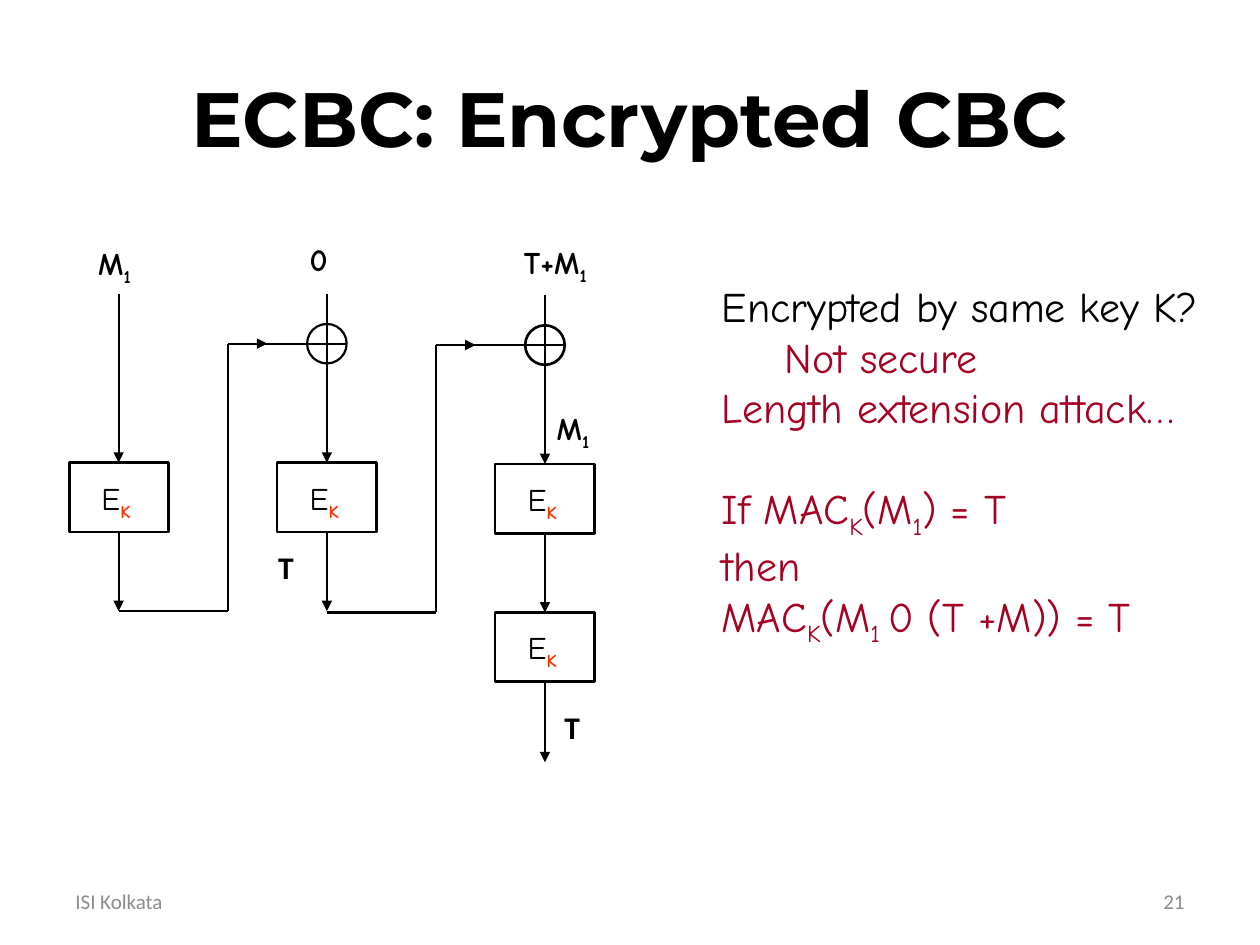
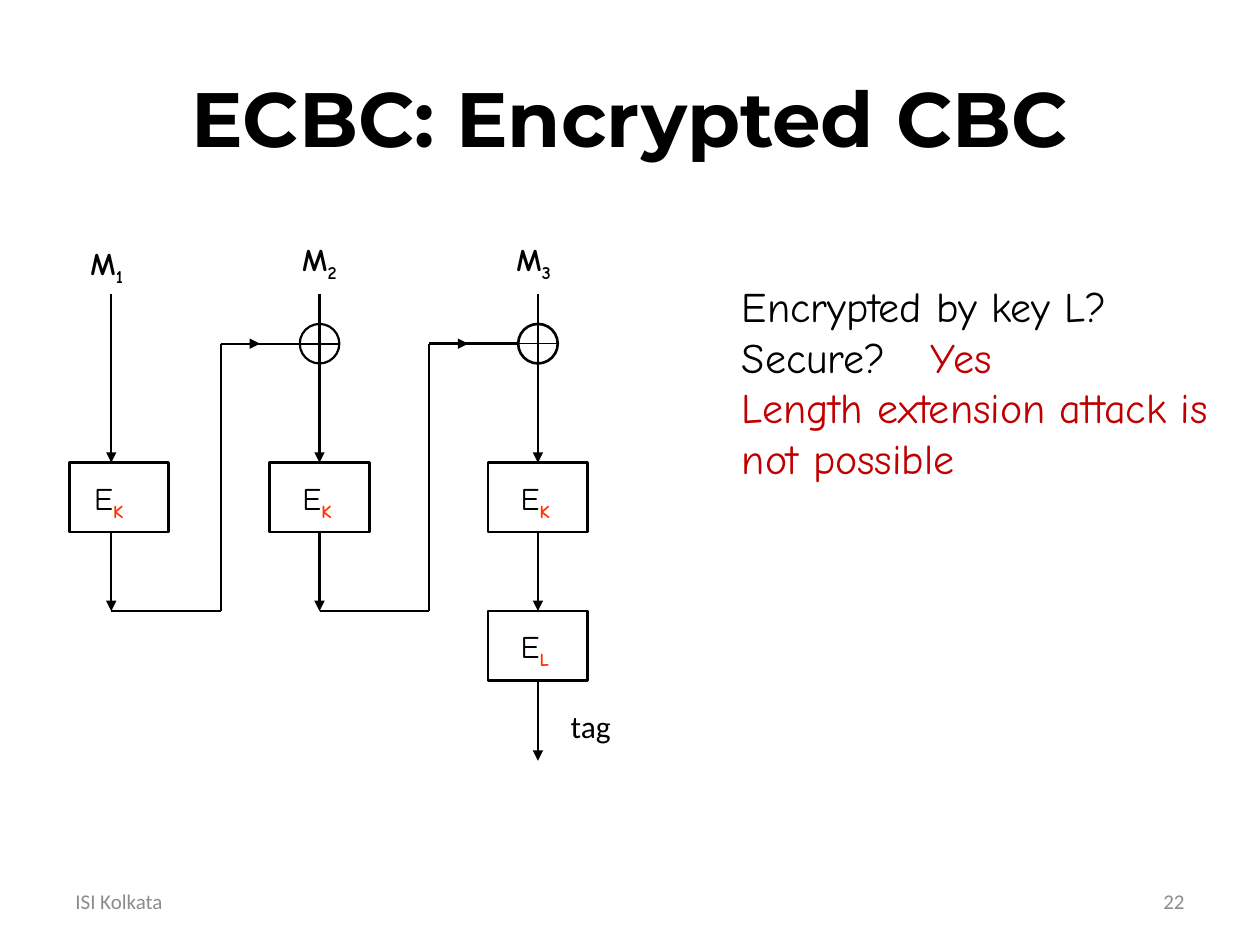
import pptx
import pptx.util
import pptx.dml.color
import pptx.enum.shapes
import pptx.enum.text
import pptx.oxml
import pptx.oxml.ns
from lxml import etree

Pt = pptx.util.Pt
Align = pptx.enum.text.PP_ALIGN
Shape = pptx.enum.shapes.MSO_SHAPE
qn = pptx.oxml.ns.qn

COLOURS = {"ink": "000000", "key": "FF3300", "footer": "8C8C8C",
           "broken": "A50021", "safe": "C00000"}
HAND, PLAIN, HEADING = "Comic Neue", "Calibri", "Montserrat"

# Cipher chain geometry, shared by both slides
INPUT_Y, XOR_Y, BLOCK_Y, FEED_Y, OUTPUT_Y = 168, 196.4, 264.4, 349.2, 434.8
BLOCK_W, BLOCK_H = 56.9, 39.6
XOR_R = 11.3
RISER_DX, FEED_ARROW = 62.5, 22.5


def add_text(slide, box, paragraphs, font=HAND, size=18, wrap=False):
    """Paragraphs are lists of (text, colour, bold, subscript) runs."""
    text_box = slide.shapes.add_textbox(*[Pt(v) for v in box])
    frame = text_box.text_frame
    frame.word_wrap = wrap
    for number, pieces in enumerate(paragraphs):
        paragraph = frame.add_paragraph() if number else frame.paragraphs[0]
        for text, colour, bold, subscript in pieces:
            run = paragraph.add_run()
            run.text = text
            run.font.name, run.font.size, run.font.bold = font, Pt(size), bold
            run.font.color.rgb = pptx.dml.color.RGBColor.from_string(COLOURS[colour])
            if subscript:
                run.font._element.set("baseline", "-25000")
    return frame


def add_line(slide, x1, y1, x2, y2, width=1.25, arrow=False):
    line = slide.shapes.add_connector(pptx.enum.shapes.MSO_CONNECTOR.STRAIGHT,
                                      Pt(x1), Pt(y1), Pt(x2), Pt(y2))
    line.line.width = Pt(width)
    line.line.color.rgb = pptx.dml.color.RGBColor.from_string(COLOURS["ink"])
    properties = line._element.spPr
    if arrow:
        etree.SubElement(properties.find(qn("a:ln")), qn("a:tailEnd"), type="triangle")
    etree.SubElement(properties, qn("a:effectLst"))


# Content: shaft x positions, block offsets, labels (text, subscript, left, top, width)
slides = [
    {
        "number": "21", "shafts": [67.8, 186.8, 311.4], "first_block": 39.6,
        "last_drop": 0.8, "final_key": "K",
        "messages": [("M", "1", 49, 136.1, 37.4), ("0", "", 169.9, 133.9, 25.9),
                     ("T+M", "1", 292.3, 135.4, 61.9), ("M", "1", 311, 230.4, 37.4)],
        "outputs": [("T", True, 151.9, 309.6, 25.9), ("T", True, 315.4, 401, 25.9)],
        "comment_box": (405.4, 157, 314.6, 239.8),
        "comment": [
            [("Encrypted by same key K?", "ink", False, False)],
            [("\tNot secure", "broken", False, False)],
            [("Length extension attack…", "broken", False, False)],
            [("If MAC", "broken", False, False), ("K", "broken", False, True),
             ("(M", "broken", False, False), ("1", "broken", False, True),
             (") = T", "broken", False, False)],
            [("then", "broken", False, False)],
            [("MAC", "broken", False, False), ("K", "broken", False, True),
             ("(M", "broken", False, False), ("1 ", "broken", False, True),
             ("0 (T +M)) = T", "broken", False, False)],
        ],
        "gap_before": 3,
    },
    {
        "number": "22", "shafts": [63.6, 182.6, 307.4], "first_block": 39.6,
        "last_drop": 0, "final_key": "L",
        "messages": [("M", "1", 44.6, 136.1, 37.4), ("M", "2", 165.6, 133.9, 37.4),
                     ("M", "3", 288, 133.9, 38.2)],
        "outputs": [("tag", False, 319, 400.3, 39.6)],
        "comment_box": (416.9, 157, 283.7, 123.8),
        "comment": [
            [("Encrypted by key L?", "ink", False, False)],
            [("Secure?\t", "ink", False, False), ("Yes", "safe", False, False)],
            [("Length extension attack is not possible", "safe", False, False)],
        ],
        "gap_before": None,
    },
]

prs = pptx.Presentation()
prs.slide_width, prs.slide_height = Pt(720), Pt(540)

for content in slides:
    slide = prs.slides.add_slide(prs.slide_layouts[5])

    # Title
    title = slide.shapes.title
    title.left, title.top, title.width, title.height = Pt(36), Pt(21.6), Pt(648), Pt(90)
    title.text_frame.text = "ECBC: Encrypted CBC"
    title.text_frame.vertical_anchor = pptx.enum.text.MSO_ANCHOR.MIDDLE
    heading = title.text_frame.paragraphs[0]
    heading.alignment = Align.CENTER
    heading_font = heading.runs[0].font
    heading_font.name, heading_font.size, heading_font.bold = HEADING, Pt(44), True
    heading_font.color.rgb = pptx.dml.color.RGBColor.from_string(COLOURS["ink"])

    # Footer and slide number
    for text, left, alignment in [("ISI Kolkata", 36, Align.LEFT),
                                  (content["number"], 516.2, Align.RIGHT)]:
        footer = add_text(slide, (left, 500.4, 167.8, 28.8),
                          [[(text, "footer", False, False)]], PLAIN, 12, wrap=True)
        footer.vertical_anchor = pptx.enum.text.MSO_ANCHOR.MIDDLE
        footer.paragraphs[0].alignment = alignment

    # Cipher chain, column by column
    shafts = content["shafts"]
    outlines = []
    for column, x in enumerate(shafts):
        last = column == len(shafts) - 1
        drop = content["last_drop"] if last else 0
        xor_y, block_y, feed_y = XOR_Y + drop, BLOCK_Y + drop, FEED_Y + drop
        add_line(slide, x, INPUT_Y + drop, x, block_y, arrow=True)
        add_line(slide, x, block_y + BLOCK_H, x, feed_y, arrow=True)

        # Feedback from the column before into the XOR
        if column:
            source = shafts[column - 1]
            riser = source + RISER_DX
            xor_width, cross_width = (1.5, 0.75) if last else (1.25, 1.25)
            add_line(slide, source, feed_y, riser, feed_y)
            add_line(slide, riser, feed_y, riser, xor_y)
            add_line(slide, riser, xor_y, x - XOR_R, xor_y, xor_width)
            add_line(slide, riser, xor_y, riser + FEED_ARROW, xor_y, arrow=True)
            add_line(slide, x - XOR_R, xor_y, x + XOR_R, xor_y, cross_width)
            add_line(slide, x, xor_y - XOR_R, x, xor_y + XOR_R, cross_width)
            outlines.append((Shape.OVAL, x - XOR_R, xor_y - XOR_R,
                             2 * XOR_R, 2 * XOR_R, xor_width))

        # Encryption blocks; the last column has a second one
        block_x = x - BLOCK_W / 2 if column else content["first_block"]
        blocks = [(block_y, "K")]
        if last:
            blocks.append((feed_y, content["final_key"]))
            add_line(slide, x, feed_y + BLOCK_H, x, OUTPUT_Y + drop, arrow=True)
        for top, key in blocks:
            outlines.append((Shape.RECTANGLE, block_x, top, BLOCK_W, BLOCK_H, 1.5))
            add_text(slide, (x - 16.9, top + 5.6, 33.1, 28.8),
                     [[("E", "ink", False, False), (key, "key", True, True)]])

    for kind, left, top, width, height, weight in outlines:
        outline = slide.shapes.add_shape(kind, Pt(left), Pt(top), Pt(width), Pt(height))
        outline.shadow.inherit = False
        outline.fill.background()
        outline.line.width = Pt(weight)
        outline.line.color.rgb = pptx.dml.color.RGBColor.from_string(COLOURS["ink"])

    # Message and output labels
    for letter, index, left, top, width in content["messages"]:
        pieces = [(letter, "ink", True, False)]
        if index:
            pieces.append((index, "ink", True, True))
        add_text(slide, (left, top, width, 28.8), [pieces])
    for text, bold, left, top, width in content["outputs"]:
        add_text(slide, (left, top, width, 28.8), [[(text, "ink", bold, False)]], PLAIN)

    # Comment on security
    comment = add_text(slide, content["comment_box"], content["comment"], size=24, wrap=True)
    if content["gap_before"]:
        comment.paragraphs[content["gap_before"]].space_before = Pt(28.8)

prs.save("out.pptx")
